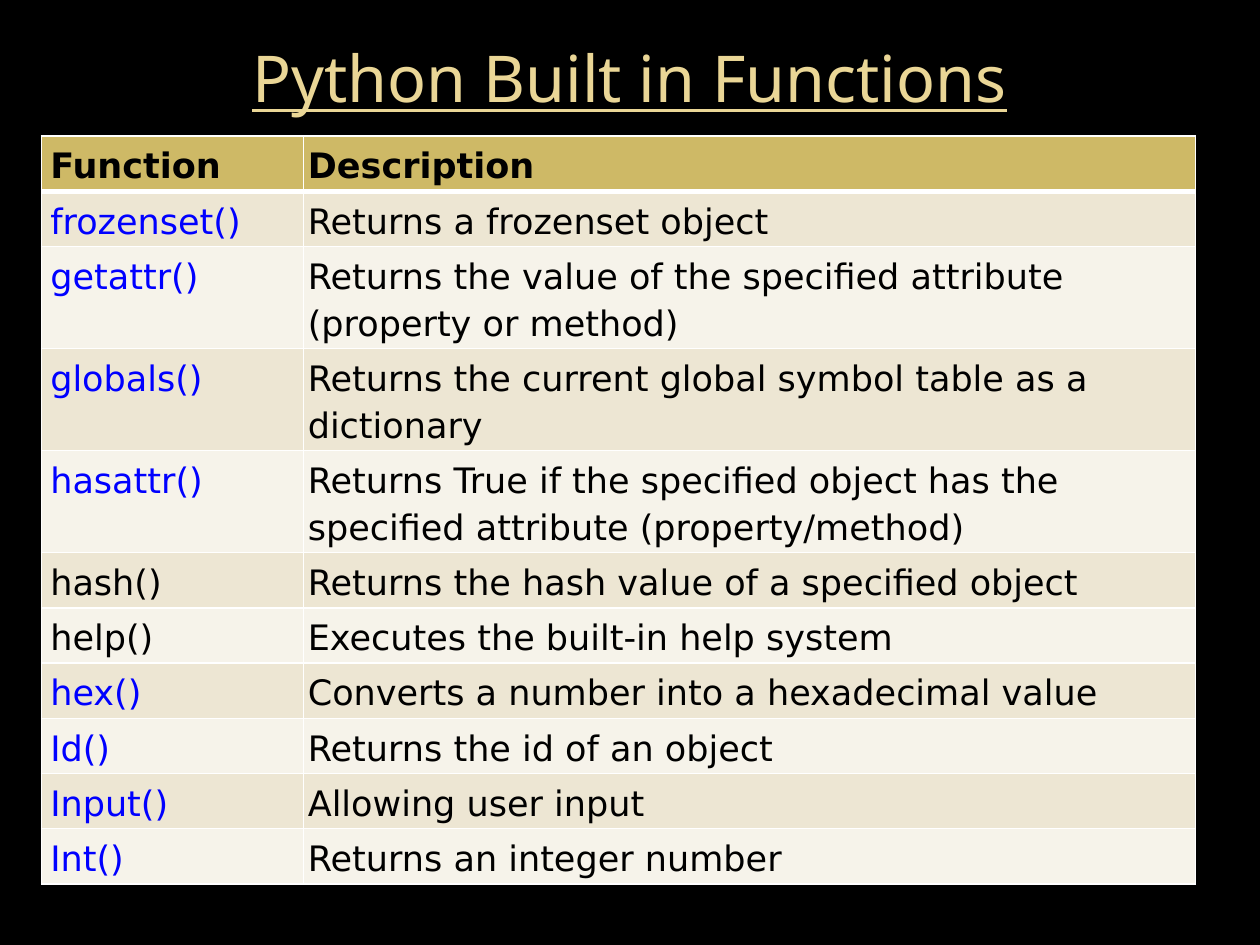
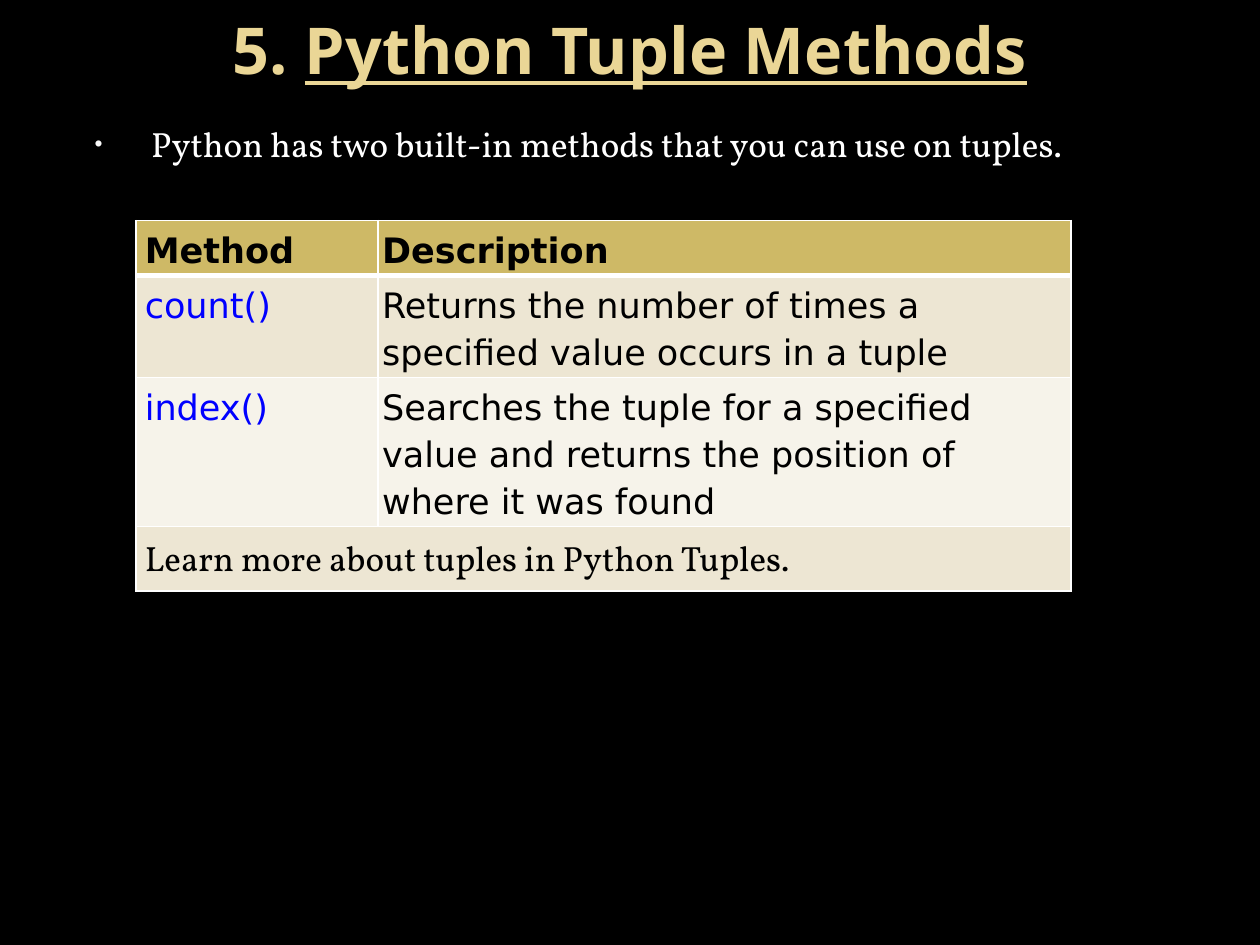
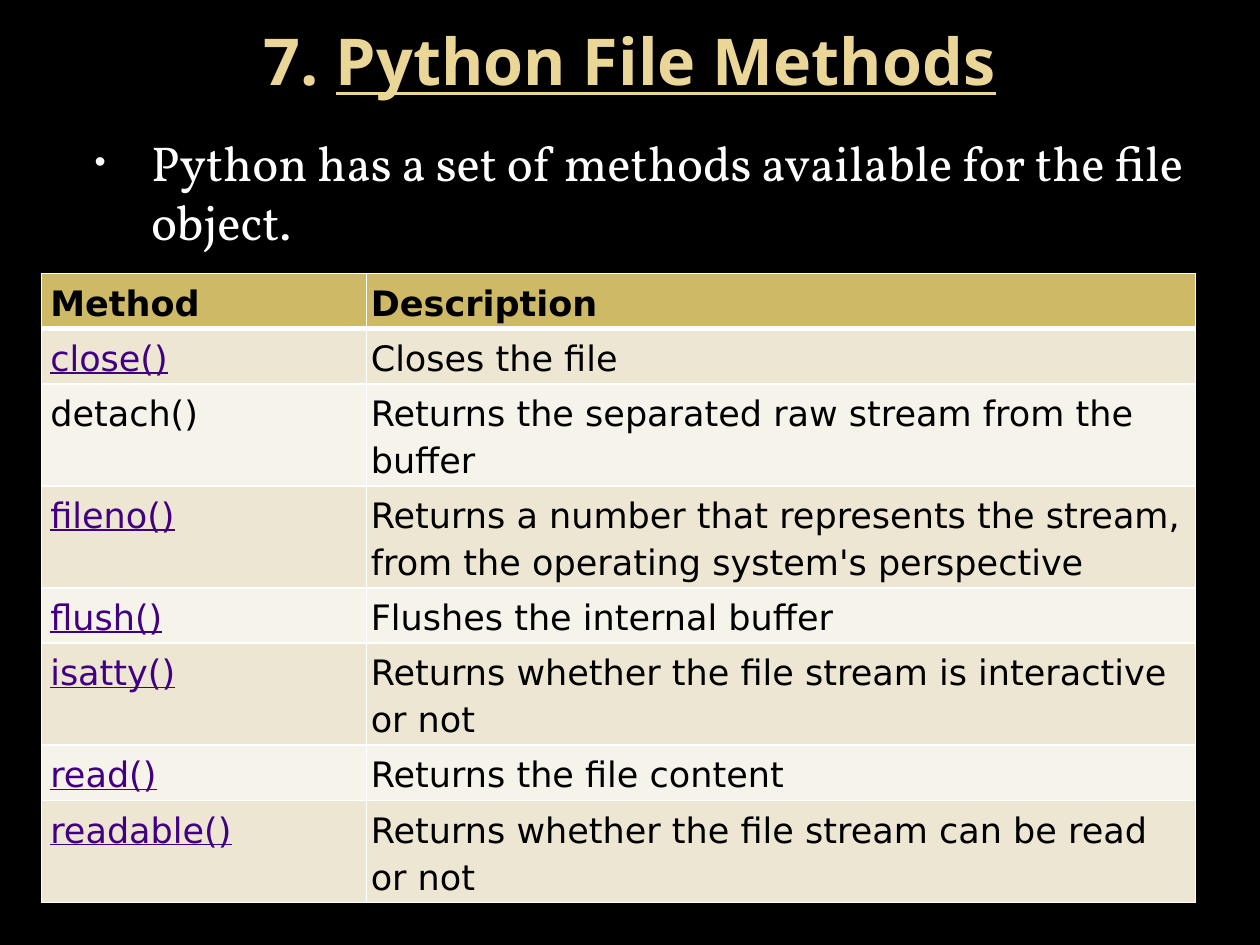
"""Build three slides of Python function and method tables."""
import lxml.etree
import pptx
import pptx.dml.color
import pptx.enum.text
import pptx.oxml.ns
import pptx.util

BLACK, WHITE, GOLD = "000000", "FFFFFF", "EAD696"
HEADER_FILL, BAND_FILLS = "CEB966", ("EDE6D3", "F6F3EA")
TITLE_FONT, TABLE_FONT, BODY_FONT = "Noto Sans", "DejaVu Sans", "Vollkorn"
BLUE_LINK = {"color": "0000FF"}
VISITED_LINK = {"color": "410082", "underline": True}
PLAIN_NAMES = ("hash()", "help()", "detach()")
ROW_HEIGHT = 0.41
WIDE_INSET, INSET = 5, 2.4

SLIDES = [
    {
        "title": [("Python\u00a0Built in Functions", {"underline": True})],
        "title_place": (0.5, 0.3, 9, 0.62),
        "table_corner": (0.33, 1.08),
        "columns": (2.08, 7.08),
        "link": BLUE_LINK,
        "rows": [
            ("Function", "Description"),
            ("frozenset()", "Returns a frozenset object"),
            ("getattr()", "Returns the value of the specified attribute (property or method)"),
            ("globals()", "Returns the current global symbol table as a dictionary"),
            ("hasattr()", "Returns True if the specified object has the specified attribute (property/method)"),
            ("hash()", "Returns the hash value of a specified object"),
            ("help()", "Executes the built-in help system"),
            ("hex()", "Converts a number into a hexadecimal value"),
            ("Id()", "Returns the id of an object"),
            ("Input()", "Allowing user input"),
            ("Int()", "Returns an integer number"),
        ],
    },
    {
        "title": [("5. ", {"bold": True}),
                  ("Python\u00a0Tuple Methods", {"bold": True, "underline": True})],
        "title_place": (0.5, 0, 9, 0.78),
        "body": "Python has two built-in methods that you can use on tuples.",
        "body_place": (0.5, 0.92, 9, 6.33),
        "body_size": 20,
        "table_corner": (1.08, 1.75),
        "columns": (1.92, 5.5),
        "link": BLUE_LINK,
        "rows": [
            ("Method", "Description"),
            ("count()", "Returns the number of times a specified value occurs in a tuple"),
            ("index()", "Searches the tuple for a specified value and returns the position of where it was found"),
            ("Learn more about tuples in Python Tuples.",),
        ],
    },
    {
        "title": [("7. ", {"bold": True}),
                  ("Python\u00a0File Methods", {"bold": True, "underline": True})],
        "title_place": (0.5, 0, 9, 0.95),
        "body": "Python has a set of methods available for the file object.",
        "body_place": (0.5, 1, 9, 6.25),
        "body_size": 28,
        "table_corner": (0.33, 2.17),
        "columns": (2.58, 6.58),
        "link": VISITED_LINK,
        "rows": [
            ("Method", "Description"),
            ("close()", "Closes the file"),
            ("detach()", "Returns the separated raw stream from the buffer"),
            ("fileno()", "Returns a number that represents the stream, from the operating system's perspective"),
            ("flush()", "Flushes the internal buffer"),
            ("isatty()", "Returns whether the file stream is interactive or not"),
            ("read()", "Returns the file content"),
            ("readable()", "Returns whether the file stream can be read or not"),
        ],
    },
]


def rgb(value):
    return pptx.dml.color.RGBColor.from_string(value)


def add_text(para, text, font=TABLE_FONT, size=20, color=BLACK, bold=False, underline=False):
    span = para.add_run()
    span.text = text
    span.font.name = font
    span.font.size = pptx.util.Pt(size)
    span.font.color.rgb = rgb(color)
    span.font.bold = bold
    span.font.underline = underline


def add_element(parent, tag, **attributes):
    element = lxml.etree.SubElement(parent, pptx.oxml.ns.qn(tag))
    for name, value in attributes.items():
        element.set(name, str(value))
    return element


def place(box, lengths):
    box.left, box.top, box.width, box.height = map(pptx.util.Inches, lengths)
    box.text_frame.word_wrap = True
    box.text_frame.auto_size = pptx.enum.text.MSO_AUTO_SIZE.NONE


def add_title(page, spans, lengths):
    box = page.shapes.title
    place(box, lengths)
    box.text_frame.vertical_anchor = pptx.enum.text.MSO_ANCHOR.MIDDLE
    para = box.text_frame.paragraphs[0]
    para.alignment = pptx.enum.text.PP_ALIGN.CENTER
    for text, style in spans:
        add_text(para, text, font=TITLE_FONT, size=36.9, color=GOLD, **style)


def add_body(page, text, lengths, size):
    box = page.placeholders[1]
    place(box, lengths)
    para = box.text_frame.paragraphs[0]
    para.space_before = pptx.util.Pt(0)
    properties = para._p.get_or_add_pPr()
    properties.set("marL", str(pptx.util.Inches(0.6)))
    properties.set("indent", str(pptx.util.Inches(-0.45)))
    add_element(add_element(properties, "a:buClr"), "a:srgbClr", val="F9F9F9")
    add_element(properties, "a:buSzPct", val=65000)
    add_element(properties, "a:buChar", char="•")
    add_text(para, text, font=BODY_FONT, size=size, color=WHITE)


def format_cell(cell, row, column):
    cell.margin_left = pptx.util.Pt(INSET if column else WIDE_INSET)
    cell.margin_right = cell.margin_top = cell.margin_bottom = pptx.util.Pt(INSET)
    widths = {"L": 1, "R": 1, "T": 3 if row == 1 else 1, "B": 3 if row == 0 else 1}
    for side, width in widths.items():
        line = add_element(cell._tc.get_or_add_tcPr(), f"a:ln{side}", w=pptx.util.Pt(width))
        add_element(add_element(line, "a:solidFill"), "a:srgbClr", val=WHITE)
    cell.fill.solid()
    cell.fill.fore_color.rgb = rgb(BAND_FILLS[(row - 1) % 2] if row else HEADER_FILL)


def text_style(row, column, texts, link):
    if row == 0:
        return {"bold": True}
    if len(texts) == 1:
        return {"font": BODY_FONT}
    return link if column == 0 and texts[0] not in PLAIN_NAMES else {}


def add_method_table(page, rows, columns, corner, link):
    lengths = (*corner, sum(columns), ROW_HEIGHT * len(rows))
    table = page.shapes.add_table(len(rows), len(columns), *map(pptx.util.Inches, lengths)).table
    table.horz_banding = table.first_row = False
    for column, width in zip(table.columns, columns):
        column.width = pptx.util.Inches(width)
    for row, texts in enumerate(rows):
        table.rows[row].height = pptx.util.Inches(ROW_HEIGHT)
        for column in range(len(columns)):
            format_cell(table.cell(row, column), row, column)
        if len(texts) < len(columns):
            table.cell(row, 0).merge(table.cell(row, len(columns) - 1))
        for column, text in enumerate(texts):
            para = table.cell(row, column).text_frame.paragraphs[0]
            para.line_spacing = 1.15
            add_text(para, text, **text_style(row, column, texts, link))


def main():
    deck = pptx.Presentation()
    deck.slide_width, deck.slide_height = pptx.util.Inches(10), pptx.util.Inches(7.5)
    background = deck.slide_master.background.fill
    background.solid()
    background.fore_color.rgb = rgb(BLACK)
    title_and_body, title_only = deck.slide_layouts[1], deck.slide_layouts[5]
    for content in SLIDES:
        page = deck.slides.add_slide(title_and_body if "body" in content else title_only)
        add_title(page, content["title"], content["title_place"])
        if "body" in content:
            add_body(page, content["body"], content["body_place"], content["body_size"])
        add_method_table(page, content["rows"], content["columns"],
                         content["table_corner"], content["link"])
    deck.save("out.pptx")


if __name__ == "__main__":
    main()
